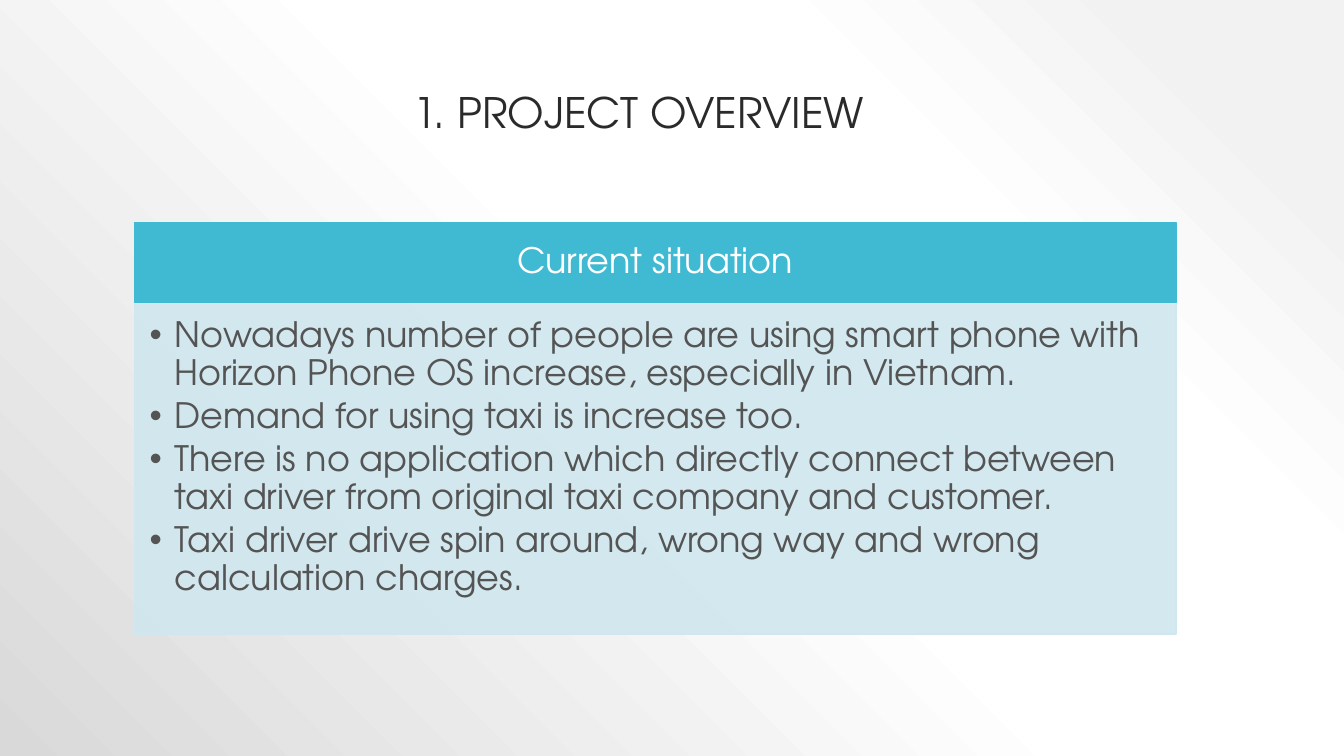
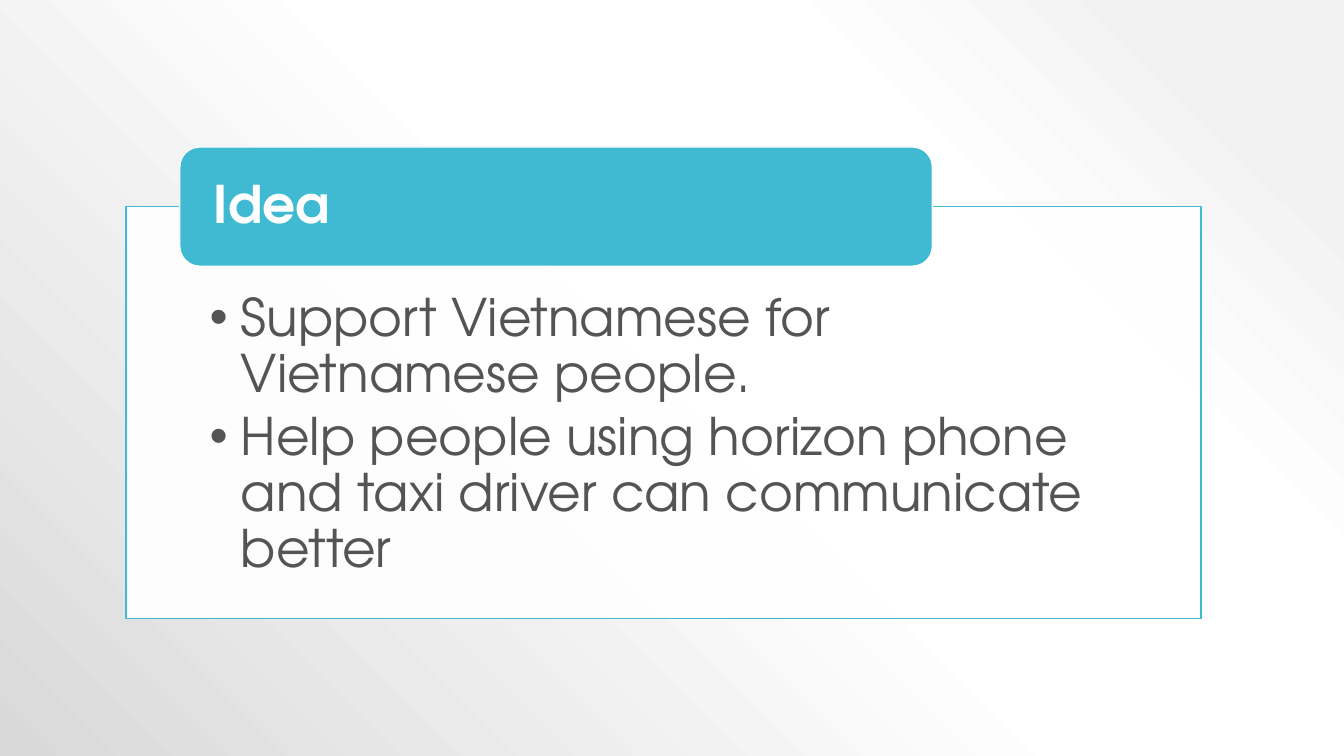
from lxml import etree
from pptx import Presentation
from pptx import util as u
from pptx.dml.color import RGBColor
from pptx.enum import shapes, text
from pptx.oxml import ns


def rgb(value):
    return RGBColor.from_string(value)


def add(parent, tag, **attrs):
    return etree.SubElement(parent, ns.qn(tag), {k: str(v) for k, v in attrs.items()})


class Deck:
    FONT = "TeX Gyre Adventor"
    ACCENT, PALE, WHITE = "40BAD2", "CFE7EE", "FFFFFF"
    INK, BODY = "2A2A2A", "545454"
    COLS, ROWS = 160, 90
    STOPS = [(10, "F2F2F2"), (28, WHITE), (48, WHITE), (100, "D9D9D9")]

    def __init__(self):
        self.prs = Presentation()
        self.prs.slide_width = u.Inches(13.33)
        self.prs.slide_height = u.Inches(7.5)
        self.s = None
        self.background()

    def background(self):
        bg = self.prs.slide_master.background
        bg.fill.solid()
        solid = bg._cSld.find(".//" + ns.qn("a:solidFill"))
        grad = etree.Element(ns.qn("a:gradFill"), rotWithShape="1")
        stops = add(grad, "a:gsLst")
        for pos, color in self.STOPS:
            add(add(stops, "a:gs", pos=pos * 1000), "a:srgbClr", val=color)
        way = add(grad, "a:path", path="circle")
        add(way, "a:fillToRect", l=100000, b=100000)
        solid.getparent().replace(solid, grad)

    def slide(self):
        self.s = self.prs.slides.add_slide(self.prs.slide_layouts[1])

    def place(self, sp, col, row, cols, rows):
        w, h = self.prs.slide_width / self.COLS, self.prs.slide_height / self.ROWS
        sp.left, sp.top = round(col * w), round(row * h)
        sp.width, sp.height = round(cols * w), round(rows * h)

    def paint(self, sp, fill, line, opacity=100):
        sp.fill.solid()
        sp.fill.fore_color.rgb = rgb(fill)
        if opacity < 100:
            color = sp._element.spPr.find(".//" + ns.qn("a:srgbClr"))
            add(color, "a:alpha", val=opacity * 1000)
        sp.line.color.rgb = rgb(line)
        sp.line.width = u.Pt(1)

    def frame(self, sp, anchor, insets):
        tf = sp.text_frame
        tf.word_wrap = True
        tf.auto_size = text.MSO_AUTO_SIZE.NONE
        tf.vertical_anchor = anchor
        tf.margin_left, tf.margin_top, tf.margin_right, tf.margin_bottom = map(u.Inches, insets)
        return tf

    def style(self, p, size, color, align=text.PP_ALIGN.LEFT, bold=False):
        p.alignment = align
        p.line_spacing = 0.9
        p.space_before = u.Pt(0)
        p.font.name = self.FONT
        p.font.size = u.Pt(size)
        p.font.color.rgb = rgb(color)
        p.font.bold = bold

    def title(self, words, *cell):
        sp = self.s.shapes.title
        self.place(sp, *cell)
        tf = self.frame(sp, text.MSO_ANCHOR.BOTTOM, (0.1, 0.05, 0.1, 0.05))
        tf.text = words
        self.style(tf.paragraphs[0], 30, self.INK)

    def no_title(self):
        sp = self.s.shapes.title._element
        sp.getparent().remove(sp)

    def bullets(self, items, *cell, size, indent, insets, fill, line):
        sp = self.s.placeholders[1]
        self.place(sp, *cell)
        self.paint(sp, fill, line, 90)
        tf = self.frame(sp, text.MSO_ANCHOR.TOP, insets)
        tf.text = "\n".join(items)
        for p in tf.paragraphs:
            pPr = p._p.get_or_add_pPr()
            pPr.set("marL", str(u.Inches(indent)))
            pPr.set("indent", str(-u.Inches(indent)))
            add(pPr, "a:buChar", char="•")
            self.style(p, size, self.BODY)
            p.space_after = u.Pt(round(0.15 * size, 1))

    def heading(self, words, *cell, size, insets, line, kind="RECTANGLE",
                align=text.PP_ALIGN.LEFT, bold=False):
        sp = self.s.shapes.add_shape(shapes.MSO_SHAPE[kind], 0, 0, 0, 0)
        self.place(sp, *cell)
        sp.shadow.inherit = False
        self.paint(sp, self.ACCENT, line)
        tf = self.frame(sp, text.MSO_ANCHOR.MIDDLE, insets)
        tf.text = words
        self.style(tf.paragraphs[0], size, self.WHITE, align, bold)


def main():
    d = Deck()

    d.slide()
    d.title("1. PROJECT OVERVIEW", 48, 9, 62, 8)
    d.heading("Current situation", 16, 26.5, 124, 9.5, size=25, line=d.ACCENT,
              insets=(0.19, 0.11, 0.19, 0.11), align=text.PP_ALIGN.CENTER)
    d.bullets([
        "Nowadays number of people are using smart phone with Horizon Phone OS increase, "
        "especially in Vietnam.",
        "Demand for using taxi is increase too.",
        "There is no application which directly connect between taxi driver from original "
        "taxi company and customer.",
        "Taxi driver drive spin around, wrong way and wrong calculation charges.",
    ], 16, 36, 124, 39.5, size=25, indent=0.25, insets=(0.15, 0.15, 0.19, 0.22),
        fill=d.PALE, line=d.PALE)

    d.slide()
    d.no_title()
    d.bullets([
        "Support Vietnamese for Vietnamese people.",
        "Help people using horizon phone and taxi driver can communicate better",
    ], 15, 24.6, 128, 49, size=37, indent=0.31, insets=(0.83, 0.84, 0.83, 0.29),
        fill=d.WHITE, line=d.ACCENT)
    d.heading("Idea", 21.4, 17.5, 89.6, 14.2, size=37, line=d.WHITE,
              insets=(0.28, 0, 0.28, 0), kind="ROUNDED_RECTANGLE", bold=True)

    d.prs.save("out.pptx")


if __name__ == "__main__":
    main()
